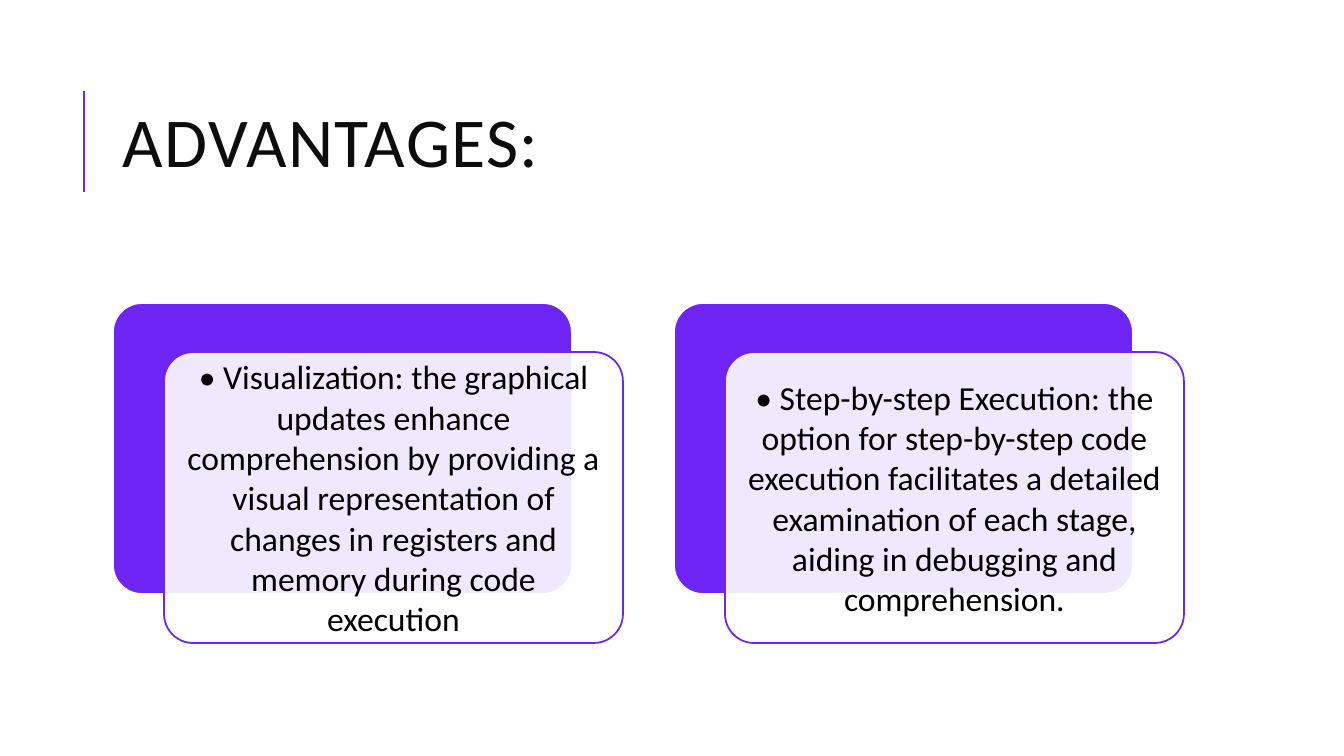
from lxml import etree
from pptx import Presentation
from pptx.dml.color import RGBColor
from pptx.enum.shapes import MSO_CONNECTOR, MSO_SHAPE
from pptx.enum.text import MSO_ANCHOR, PP_ALIGN
from pptx.oxml.ns import qn
from pptx.util import Pt

TITLE = "ADVANTAGES:"
ADVANTAGES = [
    "• Visualization: the graphical updates enhance comprehension by providing "
    "a visual representation of changes in registers and memory during code execution",
    "• Step-by-step Execution: the option for step-by-step code execution facilitates "
    "a detailed examination of each stage, aiding in debugging and comprehension.",
]

PURPLE = RGBColor(0x6E, 0x24, 0xF2)
WHITE = RGBColor(0xFF, 0xFF, 0xFF)
BLACK = RGBColor(0, 0, 0)
INK = RGBColor(0x0D, 0x0D, 0x0D)
FONT = "Calibri"

LEFT, CARD_TOP = 113, 303
CARD_W, CARD_H = 459, 291
CARD_STEP = 561
FRONT_DX, FRONT_DY = 51, 49
TEXT_GAP = 8
INSET = 10


def px(n):
    return round(n * 914400 / 100.8)


def add_card(s, x, y, fill, line):
    sp = s.shapes.add_shape(MSO_SHAPE.ROUNDED_RECTANGLE, px(x), px(y), px(CARD_W), px(CARD_H))
    sp.adjustments[0] = 0.1
    sp.shadow.inherit = False
    sp.fill.solid()
    sp.fill.fore_color.rgb = fill
    sp.line.color.rgb = line
    sp.line.width = Pt(1.25)
    return sp


def set_opacity(sp, percent):
    color = sp._element.spPr.find(qn("a:solidFill"))[0]
    etree.SubElement(color, qn("a:alpha")).set("val", str(percent * 1000))


def add_text(s, box, text, size, color, align):
    tf = s.shapes.add_textbox(*map(px, box)).text_frame
    tf.word_wrap = True
    tf.vertical_anchor = MSO_ANCHOR.MIDDLE
    tf.margin_left = tf.margin_right = tf.margin_top = tf.margin_bottom = px(INSET)
    tf.text = text
    p = tf.paragraphs[0]
    p.alignment = align
    font = p.runs[0].font
    font.name, font.size, font.color.rgb = FONT, Pt(size), color
    return p


def add_advantage(s, x, text):
    add_card(s, x, CARD_TOP, PURPLE, WHITE)
    front_x, front_y = x + FRONT_DX, CARD_TOP + FRONT_DY
    set_opacity(add_card(s, front_x, front_y, WHITE, PURPLE), 90)
    box = (front_x + TEXT_GAP, front_y + TEXT_GAP, CARD_W - 2 * TEXT_GAP, CARD_H - 2 * TEXT_GAP)
    add_text(s, box, text, 24, BLACK, PP_ALIGN.CENTER)


def main():
    prs = Presentation()
    prs.slide_width, prs.slide_height = px(1344), px(756)
    s = prs.slides.add_slide(prs.slide_layouts[6])

    rule = s.shapes.add_connector(MSO_CONNECTOR.STRAIGHT, px(84), px(192), px(84), px(91))
    rule.line.color.rgb = PURPLE
    rule.line.width = Pt(1.5)
    etree.SubElement(rule._element.spPr, qn("a:effectLst"))

    p = add_text(s, (LEFT, 65, 1072, 165), TITLE, 50, INK, PP_ALIGN.LEFT)
    p.line_spacing = 0.8
    p.runs[0]._r.get_or_add_rPr().set("spc", "100")

    for i, text in enumerate(ADVANTAGES):
        add_advantage(s, LEFT + i * CARD_STEP, text)

    prs.save("out.pptx")


if __name__ == "__main__":
    main()
